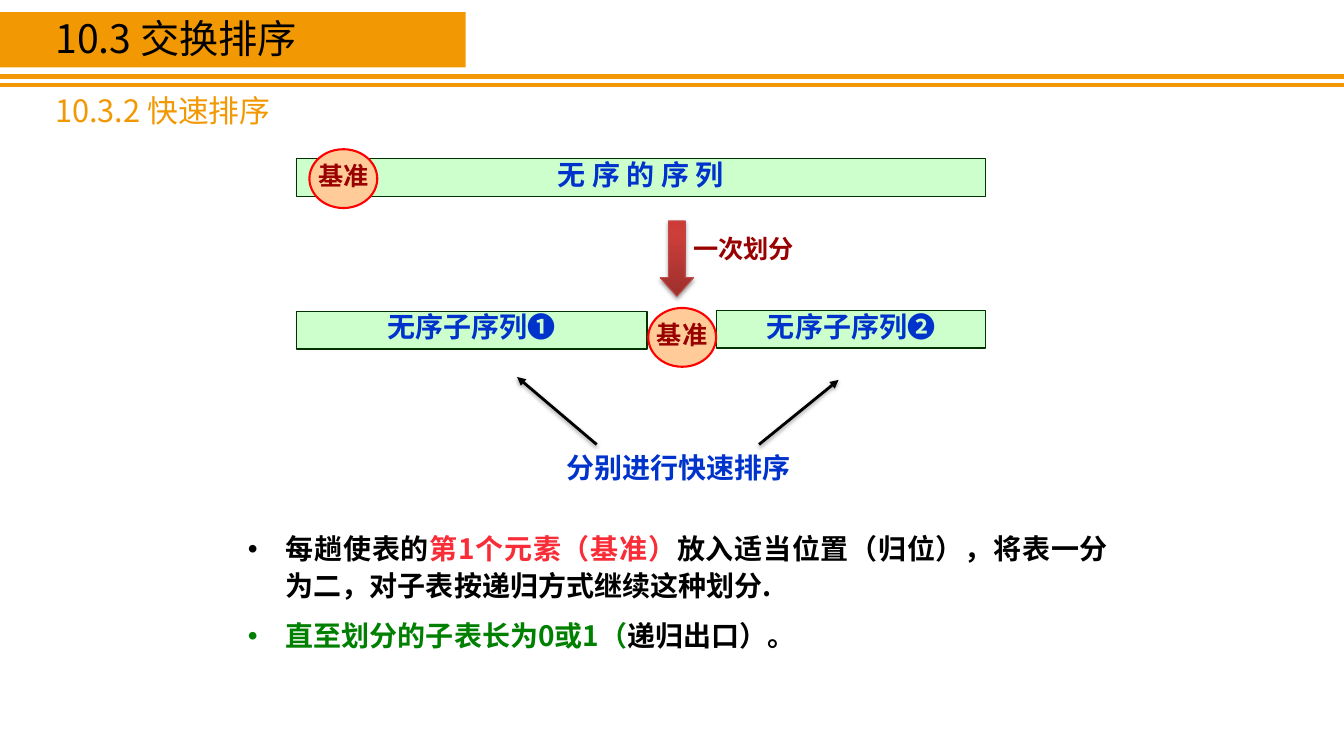
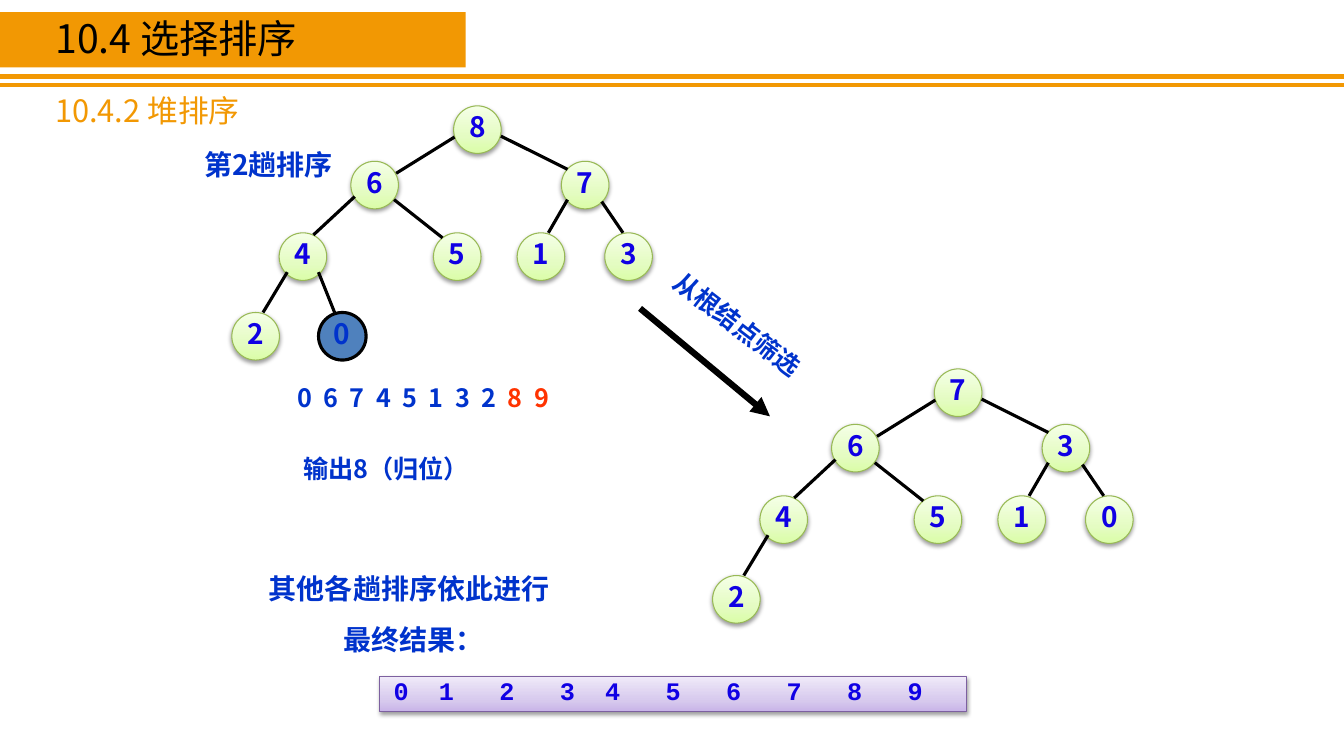
"""Builds two lecture slides on quick sort and heap sort."""
from copy import deepcopy
from itertools import accumulate

from lxml.etree import SubElement
from pptx import Presentation
from pptx.dml.color import RGBColor
from pptx.enum.shapes import MSO_CONNECTOR, MSO_SHAPE
from pptx.enum.text import MSO_ANCHOR, MSO_AUTO_SIZE, PP_ALIGN
from pptx.oxml.ns import qn
from pptx.util import Pt

STRAIGHT = MSO_CONNECTOR.STRAIGHT
RECTANGLE, OVAL, DOWN_ARROW = MSO_SHAPE.RECTANGLE, MSO_SHAPE.OVAL, MSO_SHAPE.DOWN_ARROW
TOP, MIDDLE = MSO_ANCHOR.TOP, MSO_ANCHOR.MIDDLE
FIT, FIXED = MSO_AUTO_SIZE.SHAPE_TO_FIT_TEXT, MSO_AUTO_SIZE.NONE
LEFT, CENTER, JUSTIFY = PP_ALIGN.LEFT, PP_ALIGN.CENTER, PP_ALIGN.JUSTIFY

ORANGE = RGBColor(0xF2, 0x98, 0x03)
BLACK = RGBColor(0, 0, 0)
BLUE = RGBColor(0x00, 0x33, 0xCC)
INDIGO = RGBColor(0x10, 0x00, 0xE4)
MAROON = RGBColor(0x99, 0x00, 0x00)
RED = RGBColor(0xFF, 0x00, 0x00)
BRIGHT_RED = RGBColor(0xF9, 0x2D, 0x37)
ORANGE_RED = RGBColor(0xFF, 0x33, 0x00)
GREEN = RGBColor(0x00, 0x80, 0x00)
PALE_GREEN = RGBColor(0xCC, 0xFF, 0xCC)
DARK_GREEN = RGBColor(0x00, 0x33, 0x00)
PEACH = RGBColor(0xFF, 0xCC, 0x99)
STEEL = RGBColor(0x4F, 0x81, 0xBD)
LEAF = RGBColor(0x98, 0xB9, 0x55)
BRICK = RGBColor(0xBF, 0x4C, 0x48)
PURPLE = RGBColor(0x7D, 0x60, 0xA0)
LIME_STOPS = ((0, RGBColor(0xDA, 0xFD, 0xA7)), (0.35, RGBColor(0xE4, 0xFC, 0xC2)),
              (1, RGBColor(0xF5, 0xFF, 0xE7)))
BRICK_STOPS = ((0, RGBColor(0x9C, 0x2F, 0x2D)), (0.8, RGBColor(0xCB, 0x3E, 0x3A)),
               (1, RGBColor(0xCE, 0x3B, 0x37)))
LILAC_STOPS = ((0, RGBColor(0xC9, 0xB5, 0xE8)), (0.35, RGBColor(0xD8, 0xCB, 0xEE)),
               (1, RGBColor(0xF0, 0xEA, 0xF9)))

FONT, CODE_FONT = "Noto Sans CJK SC", "Courier New"
WIDTH, HEIGHT = 960, 540
TITLE_ONLY, TITLE_AND_BODY = 5, 1
NODE_SIZE = 34
NODES = ((324, 75.6), (250.6, 115.2), (401, 115.2), (199.4, 166.3), (309.6, 166.3),
         (369.4, 166.3), (432, 166.3), (165.6, 223.2), (227.5, 223.2))
EDGES = ((324.7, 97.9, 283, 123.8), (357.8, 97.2, 405.4, 121),
         (253.4, 140.4, 223.9, 167.8), (281.5, 142.6, 316.1, 169.9),
         (405.4, 142.6, 391.7, 166.3), (429.8, 144, 445, 166.3),
         (205.2, 194.4, 187.9, 223.2), (227.5, 194.4, 239, 223.2))


class Lecture:
    """Holds the deck style and the current slide."""

    def __init__(self):
        self.deck = Presentation()
        self.deck.slide_width, self.deck.slide_height = Pt(WIDTH), Pt(HEIGHT)
        self.slide = None

    def page(self, title, subtitle, layout=TITLE_ONLY):
        """Starts a slide with its title and subtitle."""
        first = self.slide is None
        self.slide = self.deck.slides.add_slide(self.deck.slide_layouts[layout])
        if first:
            self.master_frame()
        box = self.slide.shapes.title
        self.place(box, 32.4, 13, 273.6, 34.6)
        self.fill_text(box.text_frame, title, 28, BLACK, bold=False)
        self.label(subtitle, 32.4, 67, 283.7, 28.8, 22, ORANGE, bold=False)

    def master_frame(self):
        """Moves the title band and double rule onto the master."""
        parts = [self.box(RECTANGLE, 0, 8.6, 332.6, 39.6, ORANGE)]
        parts += [self.line(0, y, WIDTH, y, 3, ORANGE) for y in (54.7, 60.5)]
        tree = self.deck.slide_master.element.cSld.spTree
        for number, part in enumerate(parts, 101):
            part.element.xpath(".//p:cNvPr")[0].set("id", str(number))
            tree.insert(2, part.element)

    def place(self, box, x, y, width, height):
        """Moves and sizes a box."""
        box.left, box.top, box.width, box.height = Pt(x), Pt(y), Pt(width), Pt(height)

    def format_run(self, span, size, color, bold=True, font=FONT):
        """Formats one run for Latin and East Asian text."""
        span.font.size, span.font.bold, span.font.name = Pt(size), bold, font
        span.font.color.rgb = color
        SubElement(span._r.get_or_add_rPr(), qn("a:ea"), typeface=font)

    def fill_text(self, frame, text, size, color, bold=True, align=LEFT, font=FONT,
                  anchor=TOP, wrap=True, fit=FIT, tabs=()):
        """Sets one compact paragraph in a frame."""
        frame.word_wrap, frame.auto_size, frame.vertical_anchor = wrap, fit, anchor
        frame.text = text
        para = frame.paragraphs[0]
        para.alignment, para.line_spacing, para.space_before = align, 0.8, Pt(0)
        if tabs:
            stops = SubElement(para._p.get_or_add_pPr(), qn("a:tabLst"))
            for stop in tabs:
                SubElement(stops, qn("a:tab"), pos=str(Pt(stop)), algn="l")
        self.format_run(para.runs[0], size, color, bold, font)
        return para

    def label(self, text, x, y, width, height, size=20, color=BLUE, rotation=0, **style):
        """Adds a text box and returns its paragraph."""
        box = self.slide.shapes.add_textbox(Pt(x), Pt(y), Pt(width), Pt(height))
        box.rotation = rotation
        return self.fill_text(box.text_frame, text, size, color, **style)

    def shadow(self, effects, distance=1.6):
        """Adds a soft shadow below a shape."""
        outer = SubElement(effects, qn("a:outerShdw"), blurRad=str(Pt(3.1)),
                           dist=str(Pt(distance)), dir="5400000", rotWithShape="0")
        color = SubElement(outer, qn("a:srgbClr"), val=str(BLACK))
        SubElement(color, qn("a:alpha"), val="38000")

    def box(self, kind, x, y, width, height, fill, border=None, weight=0.75):
        """Adds a shape with a plain fill, or a shaded one with a shadow."""
        shape = self.slide.shapes.add_shape(kind, Pt(x), Pt(y), Pt(width), Pt(height))
        shape.shadow.inherit = False
        if isinstance(fill, RGBColor):
            shape.fill.solid()
            shape.fill.fore_color.rgb = fill
        else:
            shape.fill.gradient()
            shape.fill.gradient_angle = 90
            stops = shape.element.spPr.find(".//" + qn("a:gsLst"))
            stops.insert(1, deepcopy(stops[0]))
            for stop, (position, color) in zip(shape.fill.gradient_stops, fill):
                stop.position, stop.color.rgb = position, color
            self.shadow(shape.element.spPr.find(qn("a:effectLst")))
        if border is None:
            shape.line.fill.background()
        else:
            shape.line.color.rgb, shape.line.width = border, Pt(weight)
        return shape

    def line(self, x1, y1, x2, y2, weight=2.25, color=BLACK, arrow=False, shaded=False):
        """Adds a straight line or arrow."""
        line = self.slide.shapes.add_connector(STRAIGHT, Pt(x1), Pt(y1), Pt(x2), Pt(y2))
        line.line.color.rgb, line.line.width = color, Pt(weight)
        properties = line.element.spPr
        if arrow:
            SubElement(properties.find(qn("a:ln")), qn("a:tailEnd"), type="triangle")
        effects = SubElement(properties, qn("a:effectLst"))
        if shaded:
            self.shadow(effects)
        return line

    def sequence(self, text, x, y, width, weight=1):
        """Adds a green bar for a run of unsorted records."""
        bar = self.box(RECTANGLE, x, y, width, 26.9, PALE_GREEN, DARK_GREEN, weight)
        self.fill_text(bar.text_frame, text, 20, BLUE, align=CENTER)

    def circle(self, text, x, y, width, height, size, color, fill, border, weight):
        """Adds an oval with a centred label."""
        oval = self.box(OVAL, x, y, width, height, fill, border, weight)
        self.fill_text(oval.text_frame, text, size, color, align=CENTER, anchor=MIDDLE,
                       wrap=False, fit=FIXED)

    def pivot(self, x, y):
        """Adds a pivot marker."""
        self.circle("基准", x, y, 48.5, 42, 18, MAROON, PEACH, RED, 1.5)

    def heap(self, labels, dx=0, dy=0, removed=None):
        """Draws a heap given in level order."""
        for text, (x, y) in zip(labels, NODES):
            style = ((BLUE, STEEL, BLACK, 2.25) if text == removed
                     else (INDIGO, LIME_STOPS, LEAF, 0.75))
            self.circle(text, x + dx, y + dy, NODE_SIZE, NODE_SIZE, 20, *style)
        for x1, y1, x2, y2 in EDGES[:len(labels) - 1]:
            self.line(x1 + dx, y1 + dy, x2 + dx, y2 + dy)

    def bullets(self, items, x, y, width, height):
        """Fills the body placeholder with bullets of coloured spans."""
        body = self.slide.placeholders[1]
        self.place(body, x, y, width, height)
        frame = body.text_frame
        frame.word_wrap, frame.auto_size, frame.vertical_anchor = True, FIXED, TOP
        frame.margin_left, frame.margin_right = Pt(14.4), Pt(7.2)
        frame.margin_top = frame.margin_bottom = Pt(8.6)
        for index, spans in enumerate(items):
            para = frame.add_paragraph() if index else frame.paragraphs[0]
            properties = para._p.get_or_add_pPr()
            properties.set("marL", str(Pt(27)))
            properties.set("indent", str(-Pt(27)))
            para.alignment, para.line_spacing = JUSTIFY, Pt(26)
            para.space_before = Pt(10 if index else 0)
            for text, color in spans:
                span = para.add_run()
                span.text = text
                self.format_run(span, 20, color)


def quick_sort(lecture):
    """Builds the quick sort slide."""
    lecture.page("10.3 交换排序", "10.3.2 快速排序", TITLE_AND_BODY)
    lecture.sequence("无 序 的 序 列", 211.7, 113.5, 492, 0.75)
    lecture.pivot(221, 106.6)
    lecture.sequence("无序子序列❶", 211.7, 222.5, 250.6)
    lecture.sequence("无序子序列❷", 511.9, 221.8, 192.2)
    lecture.pivot(463, 220)
    arrow = lecture.box(DOWN_ARROW, 471.6, 157.7, 23.8, 54, BRICK_STOPS, BRICK)
    arrow.adjustments[1] = 0.56
    lecture.label("一次划分", 488.2, 167, 86.4, 24.5, 18, MAROON, wrap=False)
    lecture.line(426.2, 317.5, 369.4, 269.3, 2, arrow=True, shaded=True)
    lecture.line(542.2, 317.5, 599, 271.4, 2, arrow=True, shaded=True)
    lecture.label("分别进行快速排序", 397.4, 322.6, 213.8, 26.6)
    lecture.bullets((
        (("每趟使表的", BLACK), ("第1个元素（基准）", BRIGHT_RED),
         ("放入适当位置（归位），将表一分为二，对子表按递归方式继续这种划分.", BLACK)),
        (("直至划分的子表长为0或1（", GREEN), ("递归出口）。", BLACK)),
    ), 162.7, 369.4, 635.8, 108)


def heap_sort(lecture):
    """Builds the heap sort slide."""
    lecture.page("10.4 选择排序", "10.4.2 堆排序")
    lecture.heap("867451320", removed="0")
    lecture.heap("76345102", 343.4, 187.9)
    lecture.label("第2趟排序", 115.2, 106.6, 153.4, 26.6, align=CENTER)
    lecture.line(457.2, 220.3, 550, 297.4, 4.5, arrow=True)
    lecture.label("从根结点筛选", 457.9, 221, 136, 24.5, 18, rotation=37.5, align=CENTER)
    digits = lecture.label("\t".join("06745132") + "\t", 205.3, 273.6, 210, 24.5, 18,
                           tabs=[18.8 * step for step in range(1, 10)])
    placed = digits.add_run()
    placed.text = "8\t9"
    lecture.format_run(placed, 18, ORANGE_RED)
    lecture.label("输出8（归位）", 193.7, 324.7, 164.2, 24.5, 18, align=CENTER)
    lecture.label("其他各趟排序依此进行", 185, 409, 270, 26.6)
    lecture.label("最终结果：", 218.9, 445.7, 152.6, 26.6, align=CENTER)
    result = lecture.box(RECTANGLE, 271.4, 483.1, 419, 25.2, LILAC_STOPS, PURPLE)
    result.text_frame.margin_left = Pt(9.7)
    gaps = (3, 4, 4, 3, 4, 4, 4, 4, 4)
    lecture.fill_text(result.text_frame, "\t".join("0123456789"), 18, INDIGO,
                      font=CODE_FONT, tabs=[10.8 * step for step in accumulate(gaps)])


def main():
    """Builds and saves the deck."""
    lecture = Lecture()
    quick_sort(lecture)
    heap_sort(lecture)
    lecture.deck.save("out.pptx")


if __name__ == "__main__":
    main()
